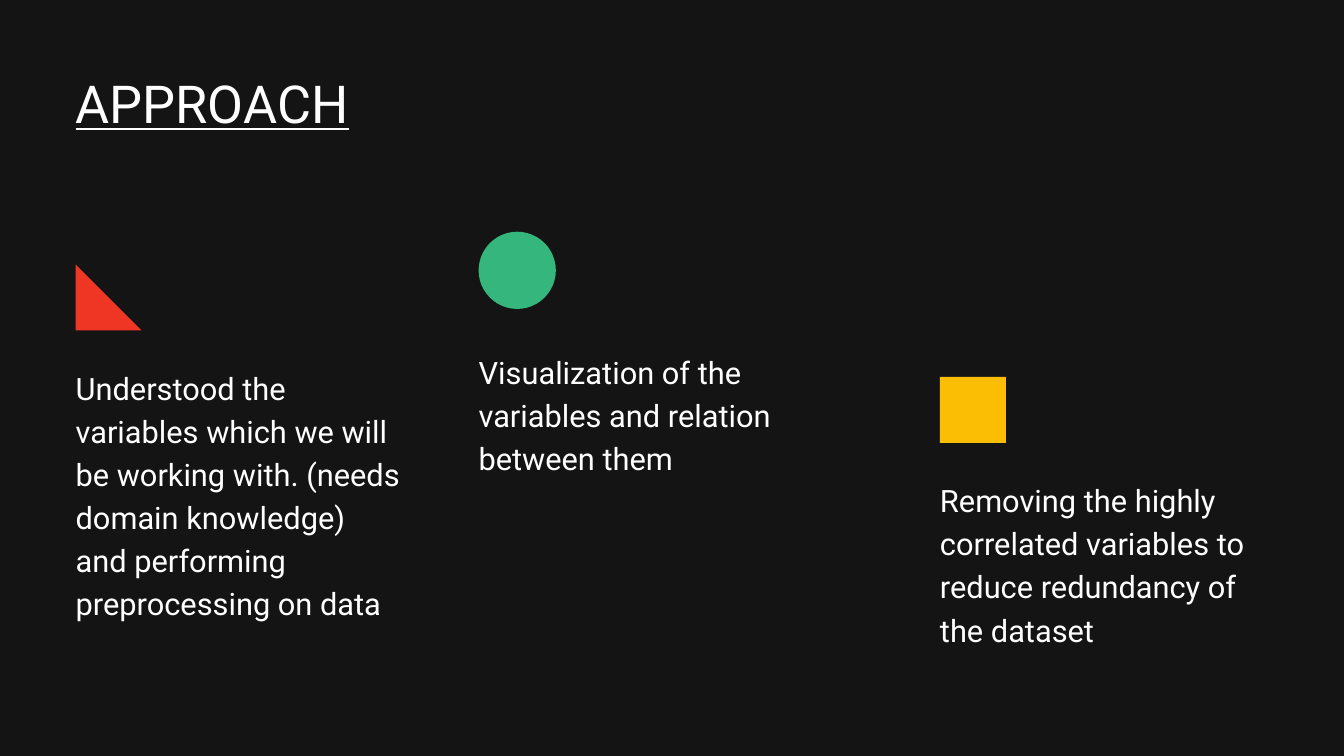
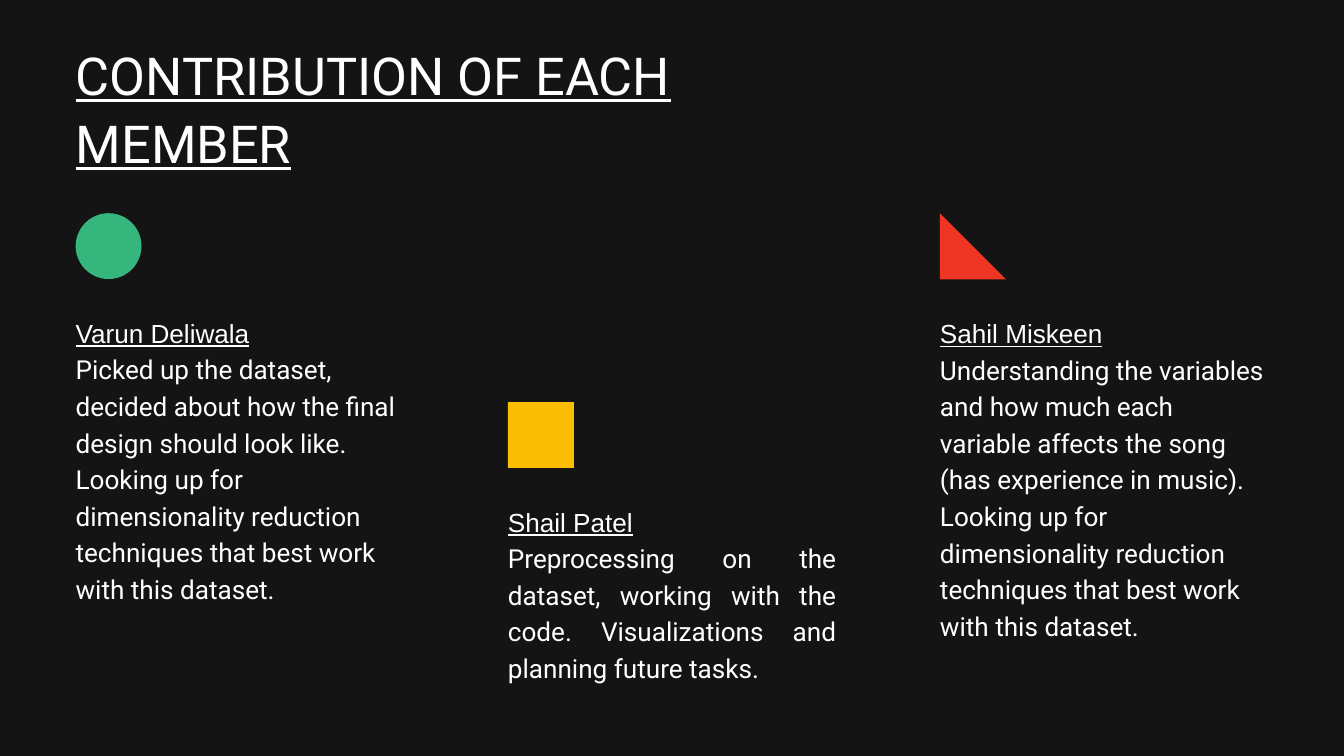
from pptx import Presentation
from pptx.dml.color import RGBColor
from pptx.enum.shapes import MSO_SHAPE
from pptx.enum.text import MSO_ANCHOR, MSO_AUTO_SIZE, PP_ALIGN
from pptx.util import Cm, Pt

COLORS = {
    "background": "141414",
    "text": "FFFFFF",
    "triangle": "EF3625",
    "circle": "34B67C",
    "square": "FCBE04",
}
ICONS = {
    "triangle": MSO_SHAPE.RIGHT_TRIANGLE,
    "circle": MSO_SHAPE.OVAL,
    "square": MSO_SHAPE.RECTANGLE,
}
BODY_FONT = "Roboto"
NAME_FONT = "Arial"
LEFT = 2.86
RIGHT = 35.53
ICON_SIZE = 2.49
COLUMN_WIDTH = 12.4


def prepare_frame(shape):
    """Return the shape's text frame, wrapped, top-anchored and without margins."""
    frame = shape.text_frame
    frame.word_wrap = True
    frame.auto_size = MSO_AUTO_SIZE.NONE
    frame.vertical_anchor = MSO_ANCHOR.TOP
    frame.margin_left = frame.margin_right = 0
    frame.margin_top = frame.margin_bottom = 0
    return frame


def write_para(para, text, size, spacing, font=BODY_FONT, underline=False,
               align=PP_ALIGN.LEFT):
    para.alignment = align
    para.line_spacing = Pt(spacing)
    para.space_before = Pt(0)
    span = para.add_run()
    span.text = text
    span.font.name = font
    span.font.size = Pt(size)
    span.font.underline = underline
    span.font.color.rgb = RGBColor.from_string(COLORS["text"])


# Icon tops and text heights are in cm; the text starts half an icon below it.
slides = [
    {
        "title": "APPROACH", "title_box": (2.5, 22.56, 2.54),
        "size": 33, "spacing": 46.2,
        "columns": [
            {"icon": "triangle", "left": LEFT, "top": 10.0, "height": 11.18,
             "text": "Understood the variables which we will be working with. "
                     "(needs domain knowledge) and performing preprocessing on data"},
            {"icon": "circle", "left": 18.09, "top": 8.76, "height": 4.72,
             "icon_size": 2.92, "width": 14.63,
             "text": "Visualization of the variables and relation between them"},
            {"icon": "square", "left": RIGHT, "top": 14.25, "height": 6.35,
             "text": "Removing the highly correlated variables to reduce "
                     "redundancy of the dataset"},
        ],
    },
    {
        "title": "CONTRIBUTION OF EACH MEMBER", "title_box": (1.43, 24.49, 5.11),
        "size": 28, "spacing": 39.2,
        "columns": [
            {"icon": "circle", "left": LEFT, "top": 8.06, "height": 10.9,
             "name": "Varun Deliwala",
             "text": "Picked up the dataset, decided about how the final design "
                     "should look like. Looking up for dimensionality reduction "
                     "techniques that best work with this dataset."},
            {"icon": "square", "left": 19.2, "top": 15.2, "height": 6.78,
             "name": "Shail Patel", "align": PP_ALIGN.JUSTIFY,
             "text": "Preprocessing on the dataset, working with the code. "
                     "Visualizations and planning future tasks."},
            {"icon": "triangle", "left": RIGHT, "top": 8.07, "height": 12.29,
             "name": "Sahil Miskeen",
             "text": "Understanding the variables and how much each variable "
                     "affects the song (has experience in music). Looking up for "
                     "dimensionality reduction techniques that best work with "
                     "this dataset."},
        ],
    },
]

deck = Presentation()
deck.slide_width = Cm(50.8)
deck.slide_height = Cm(28.58)
background = deck.slide_master.background.fill
background.solid()
background.fore_color.rgb = RGBColor.from_string(COLORS["background"])

for content in slides:
    page = deck.slides.add_slide(deck.slide_layouts[5])
    title = page.shapes.title
    top, width, height = content["title_box"]
    title.left, title.top = Cm(LEFT), Cm(top)
    title.width, title.height = Cm(width), Cm(height)
    write_para(prepare_frame(title).paragraphs[0], content["title"],
               size=56, spacing=72.8, underline=True)

    for column in content["columns"]:
        icon_size = column.get("icon_size", ICON_SIZE)
        icon = page.shapes.add_shape(
            ICONS[column["icon"]], Cm(column["left"]), Cm(column["top"]),
            Cm(icon_size), Cm(icon_size))
        icon.shadow.inherit = False
        icon.fill.solid()
        icon.fill.fore_color.rgb = RGBColor.from_string(COLORS[column["icon"]])
        icon.line.fill.background()

        box = page.shapes.add_textbox(
            Cm(column["left"]), Cm(column["top"] + 1.5 * icon_size),
            Cm(column.get("width", COLUMN_WIDTH)), Cm(column["height"]))
        frame = prepare_frame(box)
        para = frame.paragraphs[0]
        style = {"size": content["size"], "spacing": content["spacing"],
                 "align": column.get("align", PP_ALIGN.LEFT)}
        if "name" in column:
            write_para(para, column["name"], font=NAME_FONT, underline=True, **style)
            para = frame.add_paragraph()
        write_para(para, column["text"], **style)

deck.save("out.pptx")
